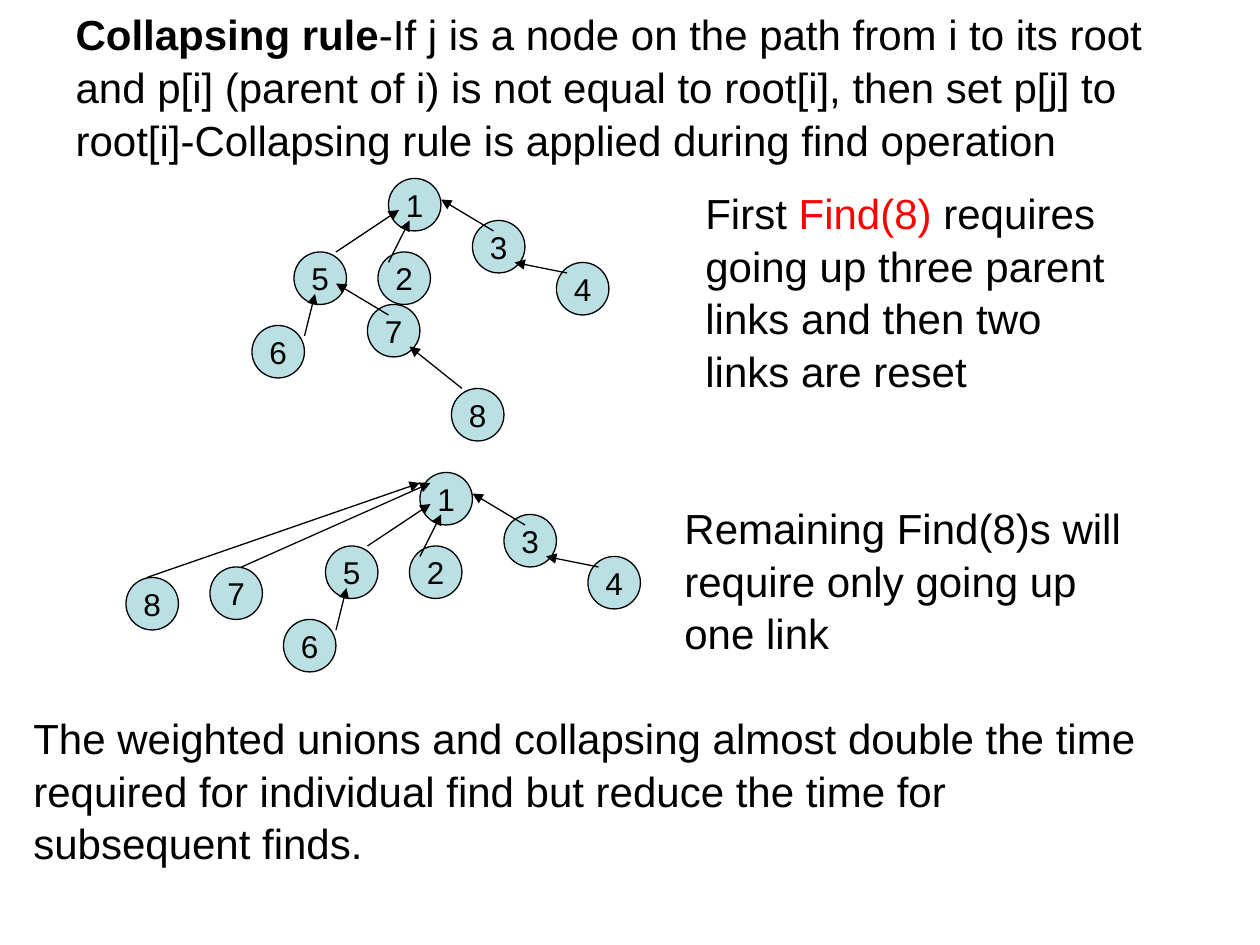
import pptx
import pptx.dml.color
import pptx.enum.shapes
import pptx.enum.text
import pptx.oxml.ns
import pptx.util
from lxml import etree

COLORS = {"ink": "000000", "node": "BBE0E3", "accent": "FF0000"}
UNITS_PER_INCH = 12
NODE_SIZE = 5
SECOND_TREE_SHIFT = (3, 28)

SHARED_NODES = {"2": (36, 24), "1": (37, 17), "4": (53, 25),
                "3": (45, 21), "6": (24, 31), "5": (28, 24)}
SHARED_LINKS = [((37, 25), (39, 21)), ((54, 26), (49, 25)), ((47, 22), (42, 19)),
                ((29, 32), (30, 28)), ((32, 24), (38, 20))]
FIRST_NODES = {"8": (43, 37), "7": (35, 29)}
FIRST_LINKS = [((44, 37), (39, 33)), ((37, 30), (32, 27))]
SECOND_NODES = {"8": (12, 55), "7": (20, 54)}
SECOND_LINKS = [((14, 55), (40, 46)), ((23, 54), (41, 46))]

HEADING = [("Collapsing rule", {"bold": True}),
           ("-If j is a node on the path from i to its root and p[i] (parent of i) is not "
            "equal to root[i], then set p[j] to root[i]-Collapsing rule is applied during "
            "find operation", {"bold": False})]
NOTES = [
    ((66, 17, 41, 20.4), [
        ("First ", {}), ("Find(8) ", {"color": "accent"}),
        ("requires going up three parent links and then two links are reset", {})]),
    ((64, 47, 45, 15.6), [
        ("Remaining Find(8)s will require only going up one link", {})]),
    ((2, 67, 109, 15.6), [
        ("The weighted unions and collapsing almost double the time required for "
         "individual find but reduce the time for subsequent finds.", {})]),
]


def grid(value):
    """Turn grid units into a length."""
    return pptx.util.Inches(value / UNITS_PER_INCH)


def rgb(name):
    """Look up a colour by its name."""
    return pptx.dml.color.RGBColor.from_string(COLORS[name])


def apply(target, values):
    """Set every attribute in a dict of format values."""
    for name, value in values.items():
        setattr(target, name, value)


def shifted(points, shift):
    """Move a sequence of grid points."""
    return [(x + shift[0], y + shift[1]) for x, y in points]


class SlideBuilder:
    """Hold the style and the current slide."""

    text_font = {"name": "Arial", "size": pptx.util.Pt(24)}
    node_font = {"name": "Arial", "size": pptx.util.Pt(18)}
    line_width = pptx.util.Pt(0.75)

    def __init__(self, slide):
        """Start building on a slide."""
        self.slide = slide

    def add_runs(self, paragraph, runs, font):
        """Fill a paragraph with formatted runs."""
        for text, changes in runs:
            values = dict(font, **changes)
            color = values.pop("color", "ink")
            run = paragraph.add_run()
            run.text = text
            apply(run.font, values)
            run.font.color.rgb = rgb(color)

    def passage(self, shape, box, runs):
        """Place a shape and set left-aligned text in it."""
        apply(shape, dict(zip(("left", "top", "width", "height"), map(grid, box))))
        apply(shape.text_frame, {
            "word_wrap": True,
            "auto_size": pptx.enum.text.MSO_AUTO_SIZE.SHAPE_TO_FIT_TEXT,
            "vertical_anchor": pptx.enum.text.MSO_ANCHOR.TOP})
        paragraph = shape.text_frame.paragraphs[0]
        apply(paragraph, {"alignment": pptx.enum.text.PP_ALIGN.LEFT, "line_spacing": 1.05})
        self.add_runs(paragraph, runs, self.text_font)

    def heading(self, box, runs):
        """Set the rule in the title placeholder."""
        self.passage(self.slide.shapes.title, box, runs)

    def note(self, box, runs):
        """Add a text box."""
        shape = self.slide.shapes.add_textbox(*map(grid, box))
        self.passage(shape, box, runs)

    def node(self, shapes, label, position):
        """Add a numbered tree node."""
        shape = shapes.add_shape(
            pptx.enum.shapes.MSO_SHAPE.OVAL, *map(grid, (*position, NODE_SIZE, NODE_SIZE)))
        shape.shadow.inherit = False
        shape.fill.solid()
        shape.fill.fore_color.rgb = rgb("node")
        shape.line.color.rgb = rgb("ink")
        shape.line.width = self.line_width
        apply(shape.text_frame, {
            "word_wrap": False, "vertical_anchor": pptx.enum.text.MSO_ANCHOR.MIDDLE})
        paragraph = shape.text_frame.paragraphs[0]
        paragraph.alignment = pptx.enum.text.PP_ALIGN.CENTER
        self.add_runs(paragraph, [(label, {})], self.node_font)

    def link(self, shapes, start, end):
        """Add an arrow from a child to its parent."""
        connector = shapes.add_connector(
            pptx.enum.shapes.MSO_CONNECTOR.STRAIGHT, *map(grid, (*start, *end)))
        connector.line.color.rgb = rgb("ink")
        connector.line.width = self.line_width
        properties = connector._element.spPr
        qn = pptx.oxml.ns.qn
        etree.SubElement(properties.find(qn("a:ln")), qn("a:tailEnd"), type="triangle")
        etree.SubElement(properties, qn("a:effectLst"))

    def tree(self, shapes, nodes, links):
        """Add the nodes of a tree and the links over them."""
        for label, position in nodes.items():
            self.node(shapes, label, position)
        for start, end in links:
            self.link(shapes, start, end)


def main():
    """Build and save the presentation."""
    presentation = pptx.Presentation()
    apply(presentation, {"slide_width": grid(120), "slide_height": grid(90)})
    slide = presentation.slides.add_slide(presentation.slide_layouts[5])
    builder = SlideBuilder(slide)
    builder.heading((6, 0, 108, 15.6), HEADING)
    builder.tree(slide.shapes, {**SHARED_NODES, **FIRST_NODES}, SHARED_LINKS + FIRST_LINKS)
    moved_nodes = dict(zip(SHARED_NODES, shifted(SHARED_NODES.values(), SECOND_TREE_SHIFT)))
    moved_links = [shifted(link, SECOND_TREE_SHIFT) for link in SHARED_LINKS]
    builder.tree(slide.shapes.add_group_shape().shapes,
                 {**moved_nodes, **SECOND_NODES}, moved_links + SECOND_LINKS)
    for box, runs in NOTES:
        builder.note(box, runs)
    presentation.save("out.pptx")


if __name__ == "__main__":
    main()
